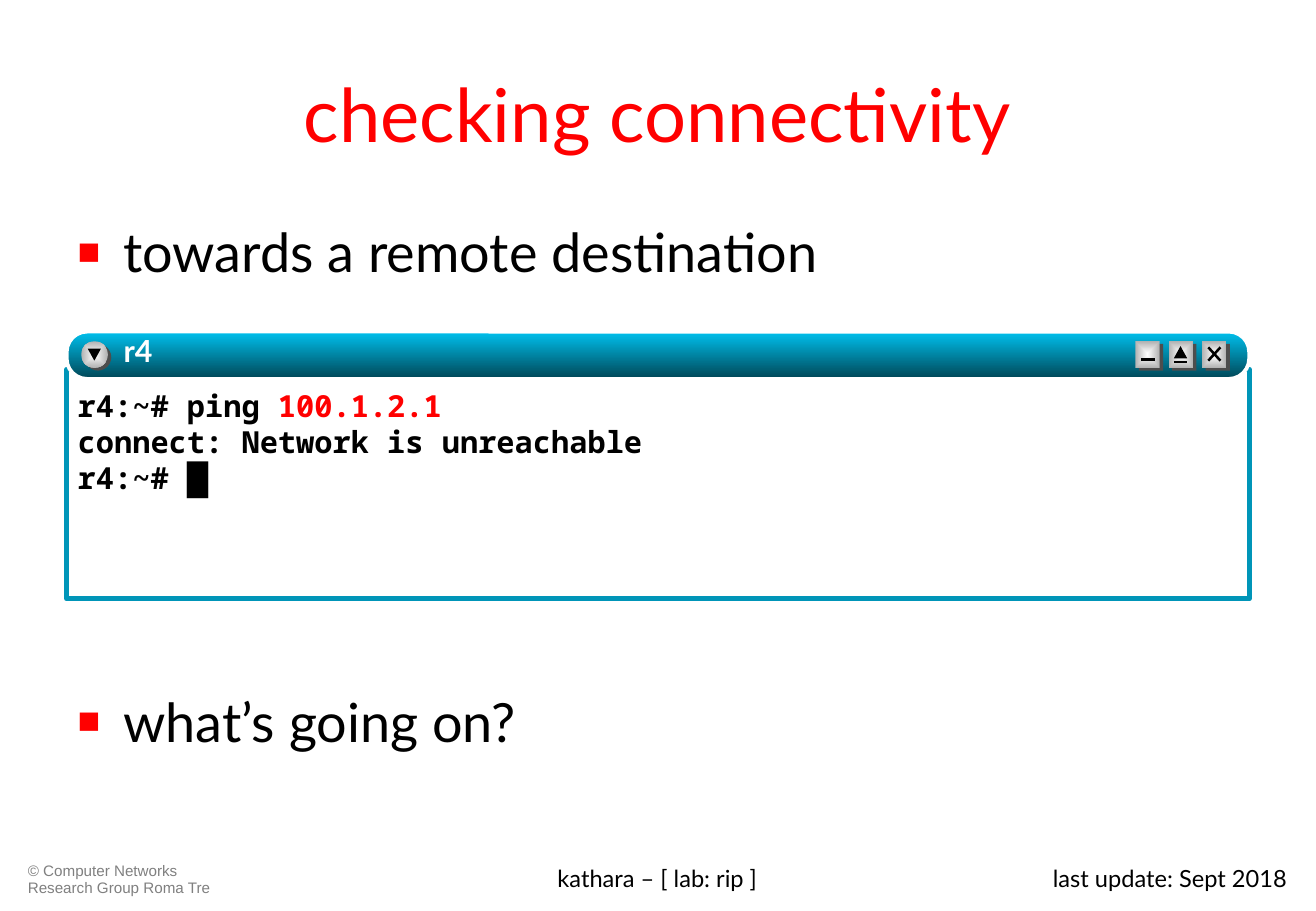
from lxml import etree
from pptx import Presentation
from pptx.dml.color import RGBColor
from pptx.enum.shapes import MSO_CONNECTOR, MSO_SHAPE
from pptx.enum.text import MSO_ANCHOR, PP_ALIGN
from pptx.oxml.ns import qn
from pptx.util import Pt

RECT, ROUND = MSO_SHAPE.RECTANGLE, MSO_SHAPE.ROUNDED_RECTANGLE
OVAL, WEDGE = MSO_SHAPE.OVAL, MSO_SHAPE.ISOSCELES_TRIANGLE
LINE = MSO_CONNECTOR.STRAIGHT
LEFT, MID, RIGHT = PP_ALIGN.LEFT, PP_ALIGN.CENTER, PP_ALIGN.RIGHT
TOP, CENTER = MSO_ANCHOR.TOP, MSO_ANCHOR.MIDDLE
INK = {"red": "FF0000", "black": "000000", "white": "FFFFFF", "grey": "808080",
       "dark": "4D4D4D", "silver": "B2B2B2", "frame": "0095B8",
       "sky": "00C1EE", "deep": "004656"}
SANS, MONO, ARIAL = "Lato", "Noto Sans Mono", "Arial"


def rgb(name):
    return RGBColor.from_string(INK[name])


def sub(node, tag, **attrs):
    return etree.SubElement(node, qn(tag), attrs)


def add_bullet(para):
    props = para._p.get_or_add_pPr()
    props.set("marL", str(Pt(27)))
    props.set("indent", str(Pt(-27)))
    sub(sub(props, "a:buClr"), "a:srgbClr", val=INK["red"])
    sub(props, "a:buSzPct", val="70000")
    sub(props, "a:buFont", typeface=ARIAL)
    sub(props, "a:buChar", char="■")


def write(frame, lines, size=18, font=SANS, color="black", bold=False, align=LEFT,
          anchor=TOP, inset=(7.2, 3.6, 7.2, 3.6), lead=None, gap=0, bullet=False):
    """Each line is a string or a list of (text, changes) runs."""
    frame.word_wrap = True
    frame.vertical_anchor = anchor
    (frame.margin_left, frame.margin_top,
     frame.margin_right, frame.margin_bottom) = map(Pt, inset)
    for i, line in enumerate(lines):
        para = frame.add_paragraph() if i else frame.paragraphs[0]
        para.alignment = align
        if lead:
            para.line_spacing = lead
        if i and gap:
            para.space_before = Pt(gap)
        if bullet:
            add_bullet(para)
        for text, diff in [(line, {})] if isinstance(line, str) else line:
            run = para.add_run()
            run.text = text
            run.font.size = Pt(size)
            run.font.bold = bold
            run.font.name = diff.get("font", font)
            run.font.color.rgb = rgb(diff.get("color", color))


def add_text(slide, box, lines, **style):
    frame = slide.shapes.add_textbox(*map(Pt, box)).text_frame
    write(frame, lines, **style)
    return frame


def add_form(slide, kind, box, fill=None, line=None, width=1):
    form = slide.shapes.add_shape(kind, *map(Pt, box))
    form.shadow.inherit = False
    if isinstance(fill, tuple):
        form.fill.gradient()
        form.fill.gradient_angle = 270
        for stop, name in zip(form.fill.gradient_stops, fill):
            stop.color.rgb = rgb(name)
    elif fill:
        form.fill.solid()
        form.fill.fore_color.rgb = rgb(fill)
    else:
        form.fill.background()
    if line:
        form.line.color.rgb = rgb(line)
        form.line.width = Pt(width)
    else:
        form.line.fill.background()
    return form


def add_line(slide, *ends):
    stroke = slide.shapes.add_connector(LINE, *map(Pt, ends))
    stroke.line.color.rgb = rgb("black")
    stroke.line.width = Pt(1.5)
    sub(stroke._element.spPr, "a:effectLst")


def add_button(slide, kind, box):
    x, y, w, h = box
    add_form(slide, kind, (x + 2, y + 1.6, w, h), "dark")
    face = add_form(slide, kind, box, ("white", "silver"))
    # Gradient from the centre outwards
    grad = face._element.spPr.find(qn("a:gradFill"))
    grad.remove(grad.find(qn("a:lin")))
    sub(sub(grad, "a:path", path="rect"), "a:fillToRect",
        l="50000", t="50000", r="50000", b="50000")


def add_bar(slide, box):
    x, y, w, h = box
    bar = add_form(slide, ROUND, box, ("sky", "deep"), "white", 2.25)
    bar.adjustments[0] = 0.43
    top = y + 5.7

    # Menu button
    add_button(slide, OVAL, (x + 8.6, top, 15.8, 15.8))
    add_form(slide, WEDGE, (x + 12.4, top + 4.3, 7.9, 7.2), "black").rotation = 180

    # Minimise, maximise and close buttons
    less, more, shut = [x + w - 67.5 + 19.8 * i for i in range(3)]
    for left in (less, more, shut):
        add_button(slide, RECT, (left, top, 14.4, 15.8))
    add_line(slide, less + 3.6, top + 10.8, less + 11.5, top + 10.8)
    add_line(slide, more + 3, top + 12.2, more + 11, top + 12.2)
    add_form(slide, WEDGE, (more + 3, top + 2.9, 7.9, 7.2), "black")
    for start, end in ((11.5, 3.6), (3.6, 11.5)):
        add_line(slide, shut + 3.6, top + start, shut + 10.8, top + end)

    # Window name with a text shadow
    name = add_text(slide, (x + 33.8, y, 521, h), ["r4"], color="white", bold=True,
                    inset=(0, 0, 0, 0))
    props = name.paragraphs[0].runs[0].font._element
    glow = etree.Element(qn("a:effectLst"))
    shade = sub(glow, "a:outerShdw", dist=str(Pt(1.5)), dir="2700000")
    sub(shade, "a:srgbClr", val=INK["black"])
    props.find(qn("a:solidFill")).addnext(glow)


def add_window(slide, box):
    x, y, w, h = box
    pane = (x, y + 22.3, w, h - 22.3)
    add_form(slide, RECT, pane, line="frame", width=3)
    add_text(slide, pane, [
        [("r4:~# ping ", {}), ("100.1.2.1", {"color": "red"})],
        "connect: Network is unreachable",
        [("r4:~# ", {}), ("█", {"font": ARIAL})],
    ], font=MONO, bold=True, inset=(6.5, 10.3, 5.8, 2.9), lead=Pt(21.6))
    add_bar(slide, (x, y, w, 28))


def add_foot(slide, box):
    x, y, w, h = box
    add_text(slide, (x, y, 135.4, h), ["© Computer Networks Research Group Roma Tre"],
             size=9, font=ARIAL, color="grey", lead=0.9)
    add_text(slide, (x + 190, y, 381, h), ["kathara – [ lab: rip ]"],
             size=14, align=MID)
    add_text(slide, (x + w - 178, y, 178, h), ["last update: Sept 2018"],
             size=14, align=RIGHT)


def add_head(slide, box):
    title = slide.shapes.title
    title.left, title.top, title.width, title.height = map(Pt, box)
    write(title.text_frame, ["checking connectivity"], size=44, color="red",
          align=MID, anchor=CENTER)


def main():
    deck = Presentation()
    deck.slide_width, deck.slide_height = Pt(780.48), Pt(540)
    slide = deck.slides.add_slide(deck.slide_layouts[5])
    add_foot(slide, (9.4, 508.3, 761, 25.9))
    add_head(slide, (39, 21.6, 702, 90))
    add_text(slide, (39, 126, 702, 337),
             ["towards a remote destination", "what’s going on?"],
             size=32, gap=240, bullet=True)
    add_window(slide, (39.6, 196.6, 701.3, 158.4))
    deck.save("out.pptx")


if __name__ == "__main__":
    main()
